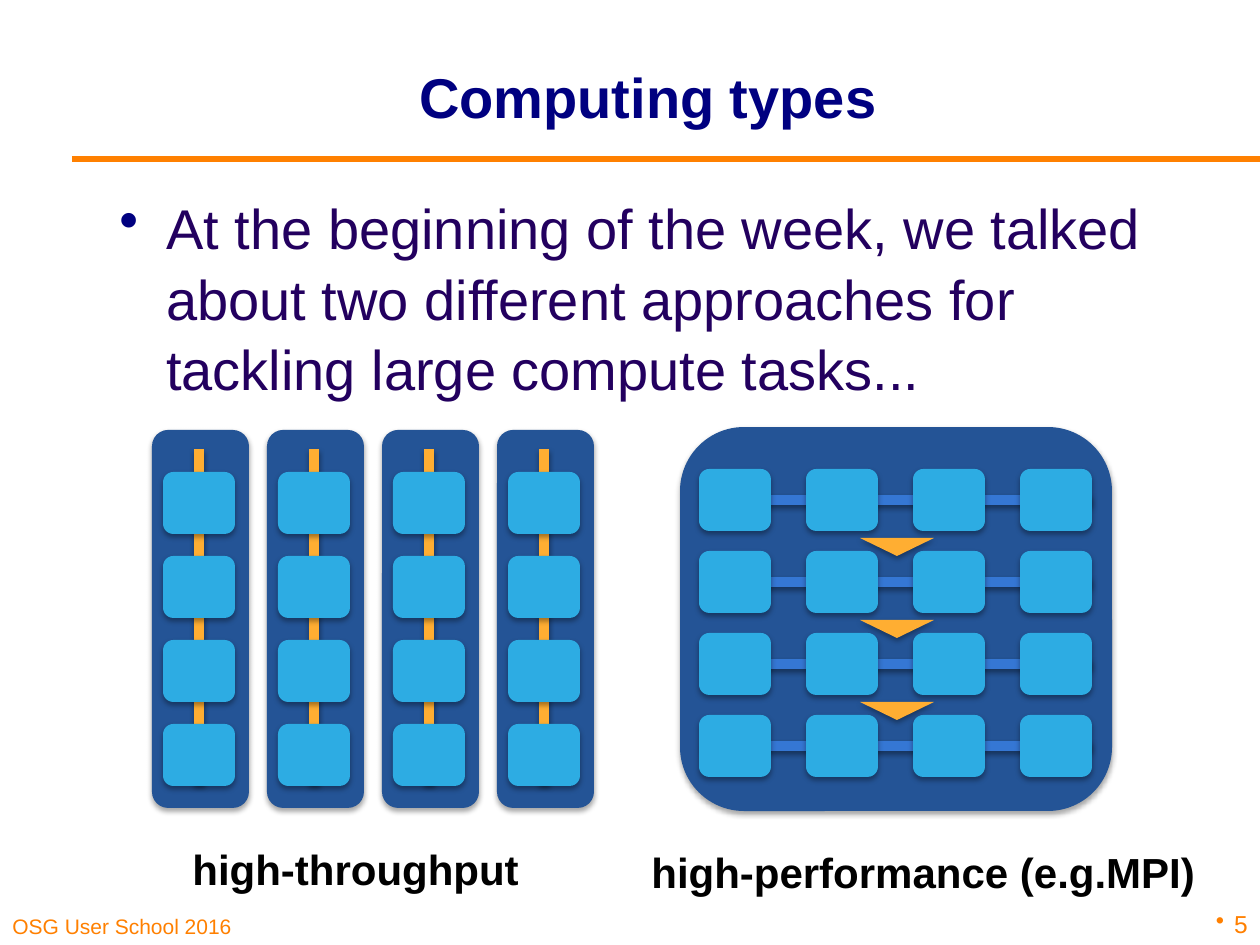
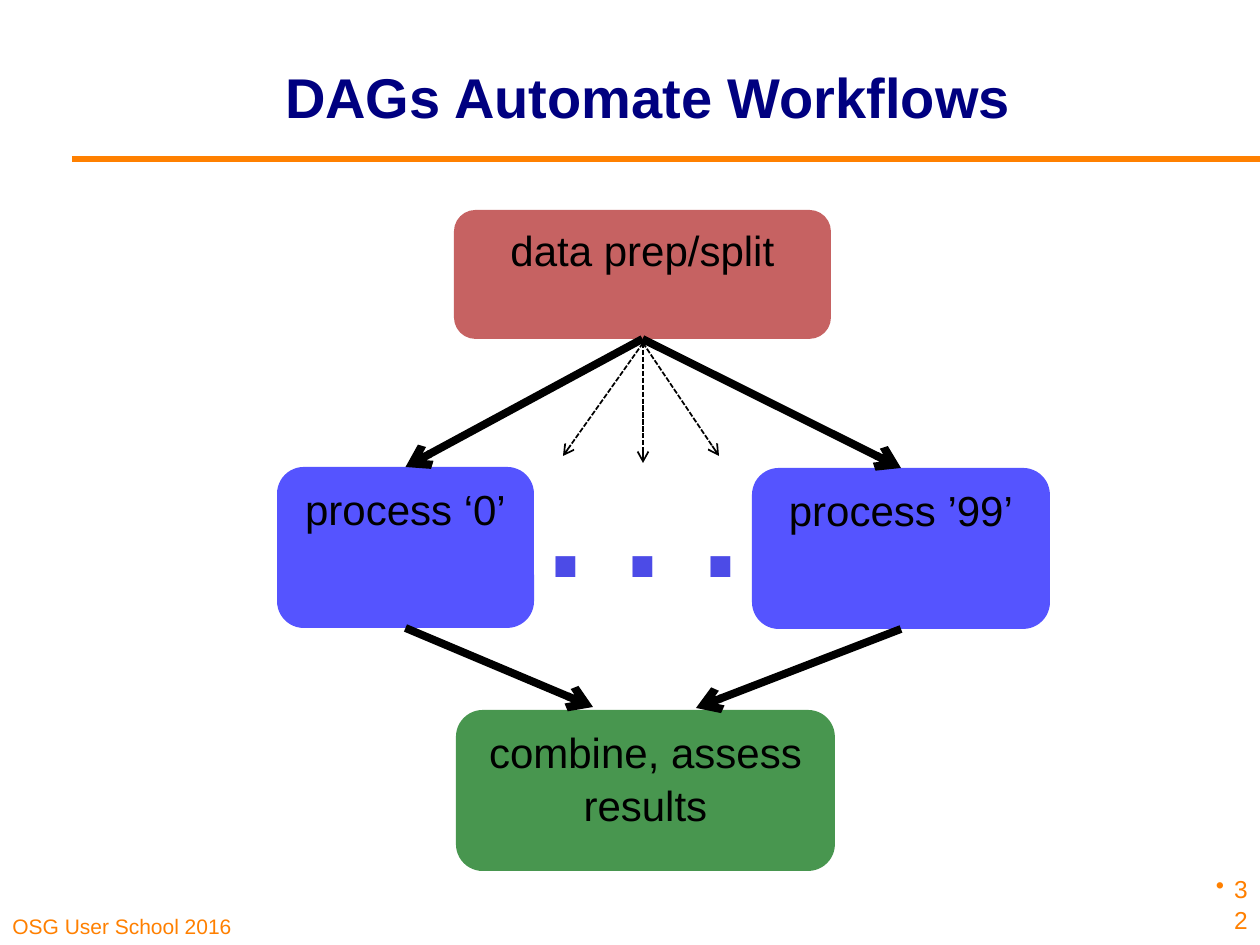
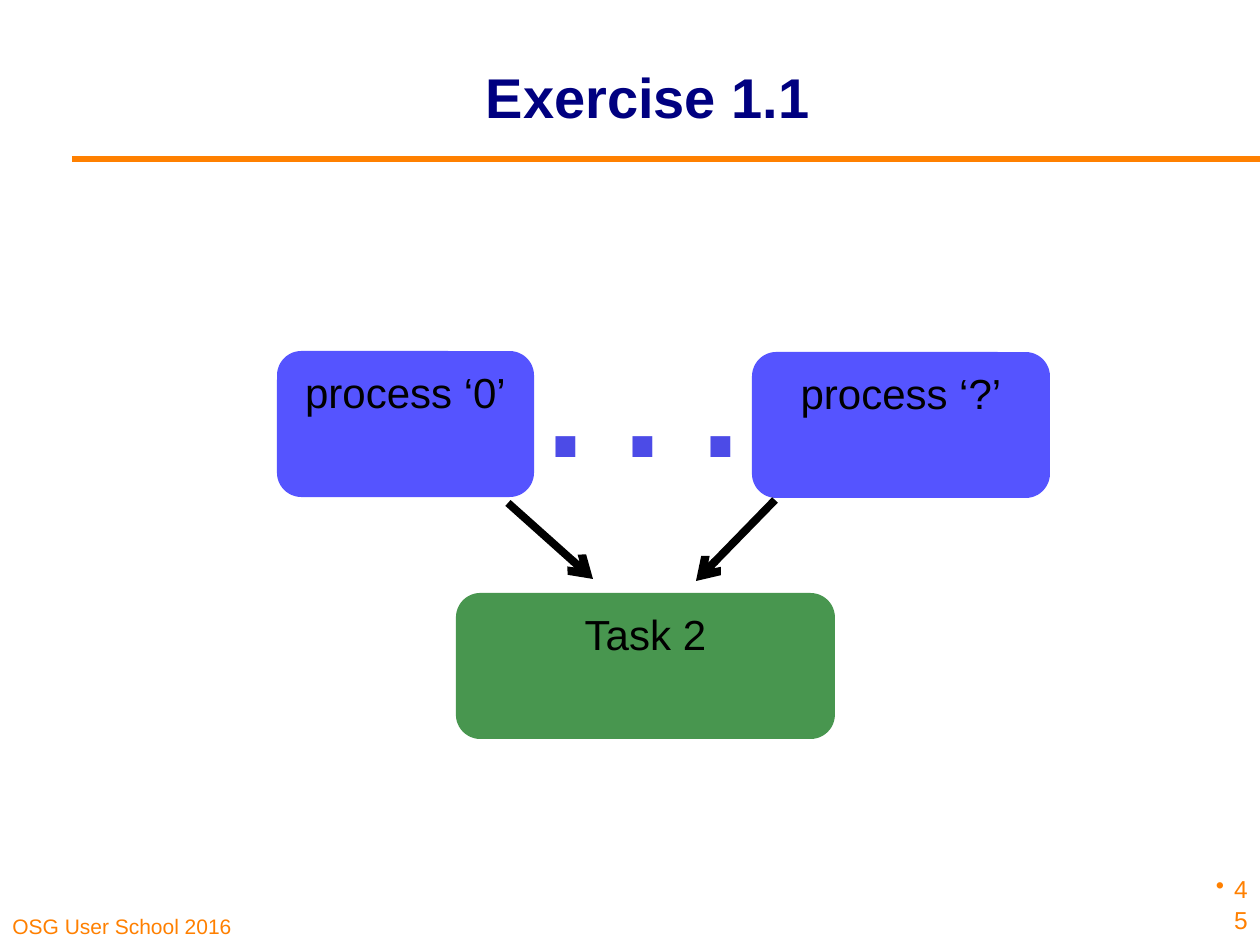
from typing import NamedTuple, Optional

from lxml import etree
from pptx import Presentation
from pptx import util as u
from pptx.dml.color import RGBColor
from pptx.enum import dml, shapes, text
from pptx.oxml.ns import qn

PX = 914400 / 126
FONT = "Arial"
LINE_SPACING = 1.05
COLORS = {
    "orange": "FF8000", "navy": "000080", "body": "23005F", "black": "000000",
    "panel": "245496", "link": "3577D4", "flow": "FFAE32", "cell": "2DACE3",
    "process": "5554FF", "prep": "C66262", "result": "48964F", "dots": "4C4BE7",
}


class Box(NamedTuple):
    left: int
    top: int
    width: int
    height: int


class Style(NamedTuple):
    size: int
    color: str
    bold: bool = False
    align: text.PP_ALIGN = text.PP_ALIGN.LEFT
    anchor: text.MSO_ANCHOR = text.MSO_ANCHOR.TOP


class Bullet(NamedTuple):
    indent: int
    color: str


class Node(NamedTuple):
    box: Box
    label: str
    fill: Optional[str]


class Arrow(NamedTuple):
    start: tuple[int, int]
    end: tuple[int, int]
    width: float = 4.5
    dashed: bool = False


class Shadow(NamedTuple):
    alpha: int
    distance: float
    blur: float = 3.1


class Grid(NamedTuple):
    """Four by four cells, given by the first corner and the pitches."""
    left: int
    top: int
    across: int
    down: int

    def column(self, index: int) -> int:
        return self.left + index * self.across

    def row(self, index: int) -> int:
        return self.top + index * self.down


CENTER, RIGHT = text.PP_ALIGN.CENTER, text.PP_ALIGN.RIGHT
MIDDLE, BOTTOM = text.MSO_ANCHOR.MIDDLE, text.MSO_ANCHOR.BOTTOM
TITLE = Style(32, "navy", True, CENTER, MIDDLE)
BODY = Style(32, "body")
CAPTION = Style(24, "black", True)
FOOTER = Style(12, "orange", anchor=BOTTOM)
NUMBER = Style(14, "orange", align=RIGHT, anchor=BOTTOM)
NODE_LABEL = Style(24, "black", align=CENTER)
DOTS_LABEL = Style(80, "dots", True, CENTER)

SHAPE_SHADOW = Shadow(35, 1.8)
LINE_SHADOW = Shadow(38, 1.6)
COUNT = 4
CELL_WIDTH, CELL_HEIGHT = 72, 62
THROUGHPUT = Grid(163, 472, 115, 84)
PERFORMANCE = Grid(699, 469, 107, 82)


def px(length: float) -> int:
    return round(length * PX)


def rgb(name: str) -> RGBColor:
    return RGBColor.from_string(COLORS[name])


def add_effects(element, shadow: Optional[Shadow] = None) -> None:
    """Replace inherited effects by the given shadow, or by none."""
    effects = etree.SubElement(element.spPr, qn("a:effectLst"))
    if shadow:
        outer = etree.SubElement(
            effects, qn("a:outerShdw"), blurRad=str(u.Pt(shadow.blur)),
            dist=str(u.Pt(shadow.distance)), dir="5400000", rotWithShape="0")
        black = etree.SubElement(outer, qn("a:srgbClr"), val=COLORS["black"])
        etree.SubElement(black, qn("a:alpha"), val=str(shadow.alpha * 1000))


def write(frame, words: str, style: Style, bullet: Optional[Bullet] = None) -> None:
    frame.word_wrap = True
    frame.vertical_anchor = style.anchor
    paragraph = frame.paragraphs[0]
    paragraph.text = words
    paragraph.alignment = style.align
    paragraph.line_spacing = LINE_SPACING
    if bullet:
        properties = paragraph._p.get_or_add_pPr()
        properties.set("marL", str(px(bullet.indent)))
        properties.set("indent", str(-px(bullet.indent)))
        color = etree.SubElement(properties, qn("a:buClr"))
        etree.SubElement(color, qn("a:srgbClr"), val=COLORS[bullet.color])
        etree.SubElement(properties, qn("a:buChar"), char="•")
    font = paragraph.font
    font.name, font.size, font.bold = FONT, u.Pt(style.size), style.bold
    font.color.rgb = rgb(style.color)


def add_text(slide, box: Box, words: str, style: Style,
             bullet: Optional[Bullet] = None) -> None:
    area = slide.shapes.add_textbox(*map(px, box))
    write(area.text_frame, words, style, bullet)


def add_block(slide, box: Box, fill: Optional[str], shadow: Optional[Shadow] = None,
              kind=shapes.MSO_SHAPE.ROUNDED_RECTANGLE):
    block = slide.shapes.add_shape(kind, *map(px, box))
    block.line.fill.background()
    if fill:
        block.fill.solid()
        block.fill.fore_color.rgb = rgb(fill)
    else:
        block.fill.background()
    add_effects(block._element, shadow)
    return block


def add_line(slide, start: tuple[int, int], end: tuple[int, int], color: str,
             width: float, shadow: Optional[Shadow] = None):
    line = slide.shapes.add_connector(
        shapes.MSO_CONNECTOR.STRAIGHT, *map(px, start + end))
    line.line.color.rgb = rgb(color)
    line.line.width = u.Pt(width)
    add_effects(line._element, shadow)
    return line


def add_arrow(slide, arrow: Arrow, source=None, target=None) -> None:
    """Draw an arrow, joined to the bottom of source and the top of target."""
    line = add_line(slide, arrow.start, arrow.end, "black", arrow.width)
    if arrow.dashed:
        line.line.dash_style = dml.MSO_LINE.SQUARE_DOT
    etree.SubElement(line.line._get_or_add_ln(), qn("a:tailEnd"), type="arrow")
    if source:
        line.begin_connect(source, 2)
    if target:
        line.end_connect(target, 0)


def add_node(slide, node: Node, style: Style = NODE_LABEL):
    block = add_block(slide, node.box, node.fill)
    frame = block.text_frame
    frame.margin_left = frame.margin_right = 0
    write(frame, node.label, style)
    return block


def add_cells(slide, grid: Grid) -> None:
    for column in range(COUNT):
        for row in range(COUNT):
            box = Box(grid.column(column), grid.row(row), CELL_WIDTH, CELL_HEIGHT)
            add_block(slide, box, "cell", SHAPE_SHADOW)


def add_page(deck, title: str, number: str, number_top: int):
    slide = deck.slides.add_slide(deck.slide_layouts[6])
    add_text(slide, Box(0, 892, 312, 53), "OSG User School 2016", FOOTER)
    add_line(slide, (72, 159), (1260, 159), "orange", 3)
    add_text(slide, Box(169, 15, 958, 158), title, TITLE)
    add_text(slide, Box(1202, number_top, 58, 63), number, NUMBER,
             Bullet(18, "orange"))
    return slide


def add_throughput(slide) -> None:
    for index in range(COUNT):
        left = THROUGHPUT.column(index)
        add_block(slide, Box(left - 11, 430, 97, 378), "panel", SHAPE_SHADOW)
        middle = left + CELL_WIDTH // 2
        add_line(slide, (middle, 449), (middle, 784), "flow", 6, LINE_SHADOW)
    add_cells(slide, THROUGHPUT)
    add_text(slide, Box(180, 835, 614, 64), "high-throughput", CAPTION)


def add_performance(slide) -> None:
    add_block(slide, Box(680, 427, 432, 384), "panel", SHAPE_SHADOW)
    for index in range(COUNT):
        middle = PERFORMANCE.row(index) + CELL_HEIGHT // 2
        add_line(slide, (1092, middle), (702, middle), "link", 6, LINE_SHADOW)
    add_cells(slide, PERFORMANCE)
    for index in range(COUNT - 1):
        box = Box(860, PERFORMANCE.row(index) + 69, 74, 18)
        step = add_block(slide, box, "flow", SHAPE_SHADOW,
                         shapes.MSO_SHAPE.ISOSCELES_TRIANGLE)
        step.rotation = 180
    add_text(slide, Box(639, 838, 614, 64), "high-performance (e.g.MPI)", CAPTION)


def add_processes(slide, top: int, height: int, last: str, dots: Box):
    """Draw the first and last process with dots between, and return both."""
    first_process = add_node(
        slide, Node(Box(277, top, 257, height), "process ‘0’", "process"))
    last_process = add_node(
        slide, Node(Box(752, top + 1, 298, height), last, "process"))
    add_node(slide, Node(dots, ". . .", None), DOTS_LABEL)
    return first_process, last_process


def build_computing_types(deck) -> None:
    slide = add_page(deck, "Computing types", "5", 882)
    add_text(slide, Box(107, 184, 1071, 645),
             "At the beginning of the week, we talked about two different "
             "approaches for tackling large compute tasks...",
             BODY, Bullet(47, "navy"))
    add_performance(slide)
    add_throughput(slide)


def build_workflow(deck) -> None:
    slide = add_page(deck, "DAGs Automate Workflows", "32", 878)
    prep = add_node(slide, Node(Box(454, 210, 377, 129), "data prep/split", "prep"))
    first, last = add_processes(slide, 467, 161, "process ’99’",
                                Box(525, 415, 237, 161))
    add_node(slide, Node(Box(456, 710, 379, 161), "combine, assess results", "result"))
    add_arrow(slide, Arrow((643, 339), (901, 468)), prep, last)
    add_arrow(slide, Arrow((643, 339), (406, 467)), prep, first)
    add_arrow(slide, Arrow((406, 628), (593, 707)), first)
    add_arrow(slide, Arrow((901, 629), (696, 708)), last)
    for end in ((563, 456), (719, 456), (643, 463)):
        add_arrow(slide, Arrow((643, 343), end, 1, True))


def build_exercise(deck) -> None:
    slide = add_page(deck, "Exercise 1.1", "45", 878)
    add_processes(slide, 351, 146, "process ‘?’", Box(525, 296, 237, 147))
    add_node(slide, Node(Box(456, 593, 379, 146), "Task 2", "result"))
    add_arrow(slide, Arrow((508, 503), (593, 579)))
    add_arrow(slide, Arrow((775, 500), (696, 581)))


def main() -> None:
    deck = Presentation()
    deck.slide_width, deck.slide_height = px(1260), px(945)
    build_computing_types(deck)
    build_workflow(deck)
    build_exercise(deck)
    deck.save("out.pptx")


if __name__ == "__main__":
    main()
